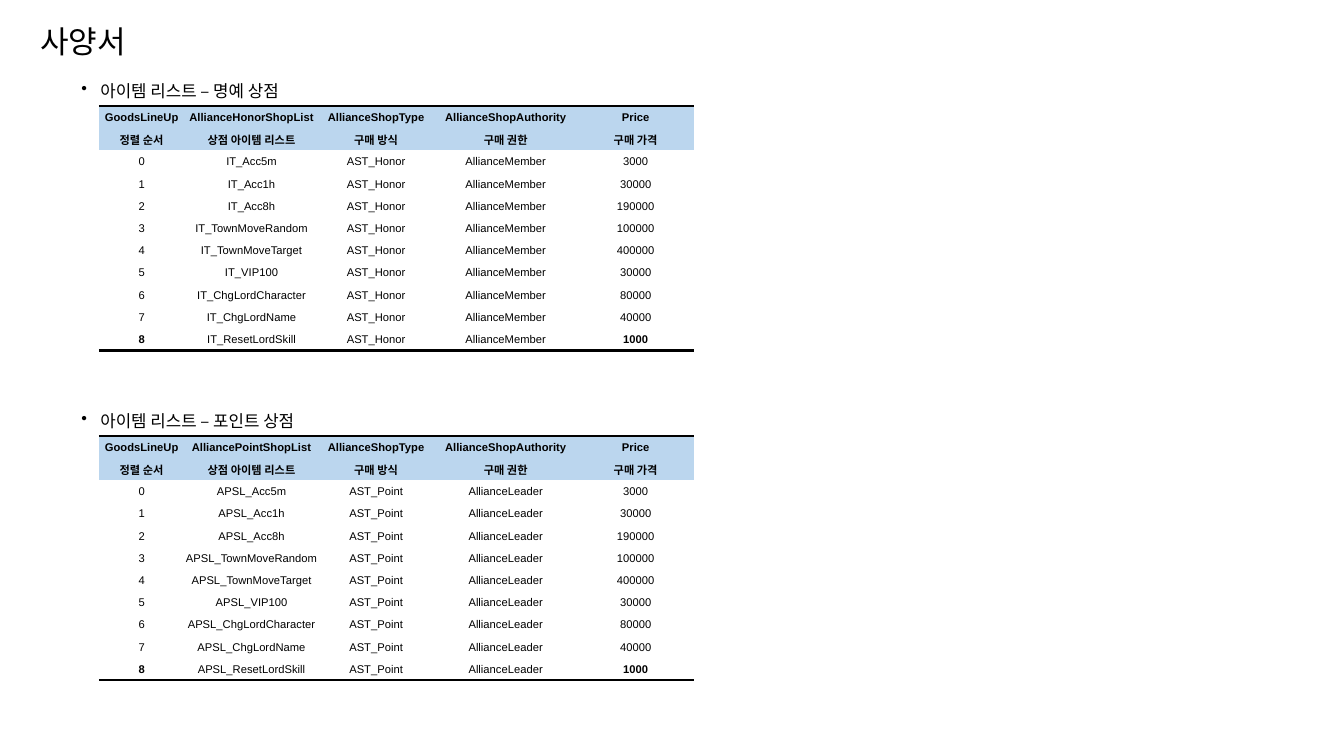
"""Builds the specification slide with the item lists of the two alliance shops."""
from dataclasses import dataclass

import pptx
import pptx.dml.color
import pptx.enum.text
import pptx.oxml
import pptx.oxml.ns
import pptx.presentation
import pptx.slide
import pptx.table
import pptx.text.text
import pptx.util
from lxml import etree
from pptx.util import Cm

FONT = "Arial"
BLACK, WHITE, HEADER_BLUE = "000000", "FFFFFF", "BBD6EE"
PLAIN_TABLE_STYLE = "{2D5ABB26-0587-4C30-8999-92F81FD0307C}"
COLUMN_WIDTHS = (2.16, 3.38, 2.9, 3.63, 2.92)
ROW_HEIGHT = 0.56
HEADER_ROWS = 2
KOREAN_HEADERS = ("정렬 순서", "상점 아이템 리스트", "구매 방식", "구매 권한", "구매 가격")
ITEM_PRICES = {
    "Acc5m": 3000,
    "Acc1h": 30000,
    "Acc8h": 190000,
    "TownMoveRandom": 100000,
    "TownMoveTarget": 400000,
    "VIP100": 30000,
    "ChgLordCharacter": 80000,
    "ChgLordName": 40000,
    "ResetLordSkill": 1000,
}


@dataclass(frozen=True)
class Shop:
    """One shop: its heading, table wording and distance from the slide top."""

    heading: str
    kind: str
    item_prefix: str
    authority: str
    top: float


SHOPS = (
    Shop("아이템 리스트 – 명예 상점", "Honor", "IT", "AllianceMember", 1.65),
    Shop("아이템 리스트 – 포인트 상점", "Point", "APSL", "AllianceLeader", 9.96),
)


def color(value: str) -> pptx.dml.color.RGBColor:
    """Turn a hex string into a colour."""
    return pptx.dml.color.RGBColor.from_string(value)


def style_paragraph(paragraph: pptx.text.text._Paragraph, size: float, bold: bool = False) -> None:
    """Set the font shared by all runs of a paragraph."""
    paragraph.font.name = FONT
    paragraph.font.size = pptx.util.Pt(size)
    paragraph.font.bold = bold
    paragraph.font.color.rgb = color(BLACK)


def add_line_of_text(slide: pptx.slide.Slide, text: str, left: float, top: float, width: float,
                     height: float, size: float, spacing: float,
                     bulleted: bool = False) -> pptx.text.text.TextFrame:
    """Place a one-line text box, with a bullet if asked."""
    frame = slide.shapes.add_textbox(Cm(left), Cm(top), Cm(width), Cm(height)).text_frame
    frame.word_wrap = True
    paragraph = frame.paragraphs[0]
    paragraph.text = text
    paragraph.line_spacing = spacing
    if bulleted:
        properties = paragraph._p.get_or_add_pPr()
        properties.set("marL", str(Cm(0.48)))
        properties.set("indent", str(Cm(-0.48)))
        bullet = etree.SubElement(properties, pptx.oxml.ns.qn("a:buChar"))
        bullet.set("char", "•")
    style_paragraph(paragraph, size)
    return frame


def add_rule(cell: pptx.table._Cell, edge: str) -> None:
    """Draw a black line along the top (lnT) or bottom (lnB) edge of a cell."""
    rule = pptx.oxml.parse_xml(
        f'<a:{edge} {pptx.oxml.ns.nsdecls("a")} w="{pptx.util.Pt(2)}"><a:solidFill>'
        f'<a:srgbClr val="{BLACK}"/></a:solidFill></a:{edge}>')
    cell._tc.get_or_add_tcPr().insert(0, rule)


def shop_rows(shop: Shop) -> list[tuple[str, ...]]:
    """List the header and item rows of a shop."""
    field_names = ("GoodsLineUp", f"Alliance{shop.kind}ShopList", "AllianceShopType",
                   "AllianceShopAuthority", "Price")
    items = [(str(order), f"{shop.item_prefix}_{item}", f"AST_{shop.kind}", shop.authority, str(price))
             for order, (item, price) in enumerate(ITEM_PRICES.items())]
    return [field_names, KOREAN_HEADERS, *items]


def add_shop_table(slide: pptx.slide.Slide, shop: Shop) -> None:
    """Place the item table of a shop below its heading."""
    rows = shop_rows(shop)
    last_row, last_column = len(rows) - 1, len(COLUMN_WIDTHS) - 1
    item_table = slide.shapes.add_table(
        len(rows), len(COLUMN_WIDTHS), Cm(2.49), Cm(shop.top + 1.02),
        Cm(sum(COLUMN_WIDTHS)), Cm(ROW_HEIGHT * len(rows))).table
    item_table.first_row = item_table.horz_banding = False
    item_table._tbl.tblPr.find(pptx.oxml.ns.qn("a:tableStyleId")).text = PLAIN_TABLE_STYLE
    for column, width in zip(item_table.columns, COLUMN_WIDTHS):
        column.width = Cm(width)
    for r, values in enumerate(rows):
        item_table.rows[r].height = Cm(ROW_HEIGHT)
        for c, value in enumerate(values):
            cell = item_table.cell(r, c)
            cell.margin_left = cell.margin_right = cell.margin_top = Cm(0.02)
            cell.margin_bottom = Cm(0)
            cell.vertical_anchor = pptx.enum.text.MSO_ANCHOR.MIDDLE
            cell.fill.solid()
            cell.fill.fore_color.rgb = color(HEADER_BLUE if r < HEADER_ROWS else WHITE)
            paragraph = cell.text_frame.paragraphs[0]
            paragraph.text = value
            paragraph.alignment = pptx.enum.text.PP_ALIGN.CENTER
            emphasized = r == last_row and c in (0, last_column)
            style_paragraph(paragraph, 8, bold=r < HEADER_ROWS or emphasized)
            if r == 0:
                add_rule(cell, "lnT")
            elif r == last_row:
                add_rule(cell, "lnB")


def main() -> None:
    """Build and save the slide."""
    deck = pptx.Presentation()
    deck.slide_width, deck.slide_height = Cm(33.87), Cm(19.05)
    slide = deck.slides.add_slide(deck.slide_layouts[6])
    title = add_line_of_text(slide, "사양서", 0.76, 0.03, 12.27, 1.63, 22.2, 1.4)
    title.vertical_anchor = pptx.enum.text.MSO_ANCHOR.MIDDLE
    for shop in SHOPS:
        add_line_of_text(slide, shop.heading, 1.8, shop.top, 12.9, 1.02, 12, 1.5, bulleted=True)
        add_shop_table(slide, shop)
    deck.save("out.pptx")


if __name__ == "__main__":
    main()
